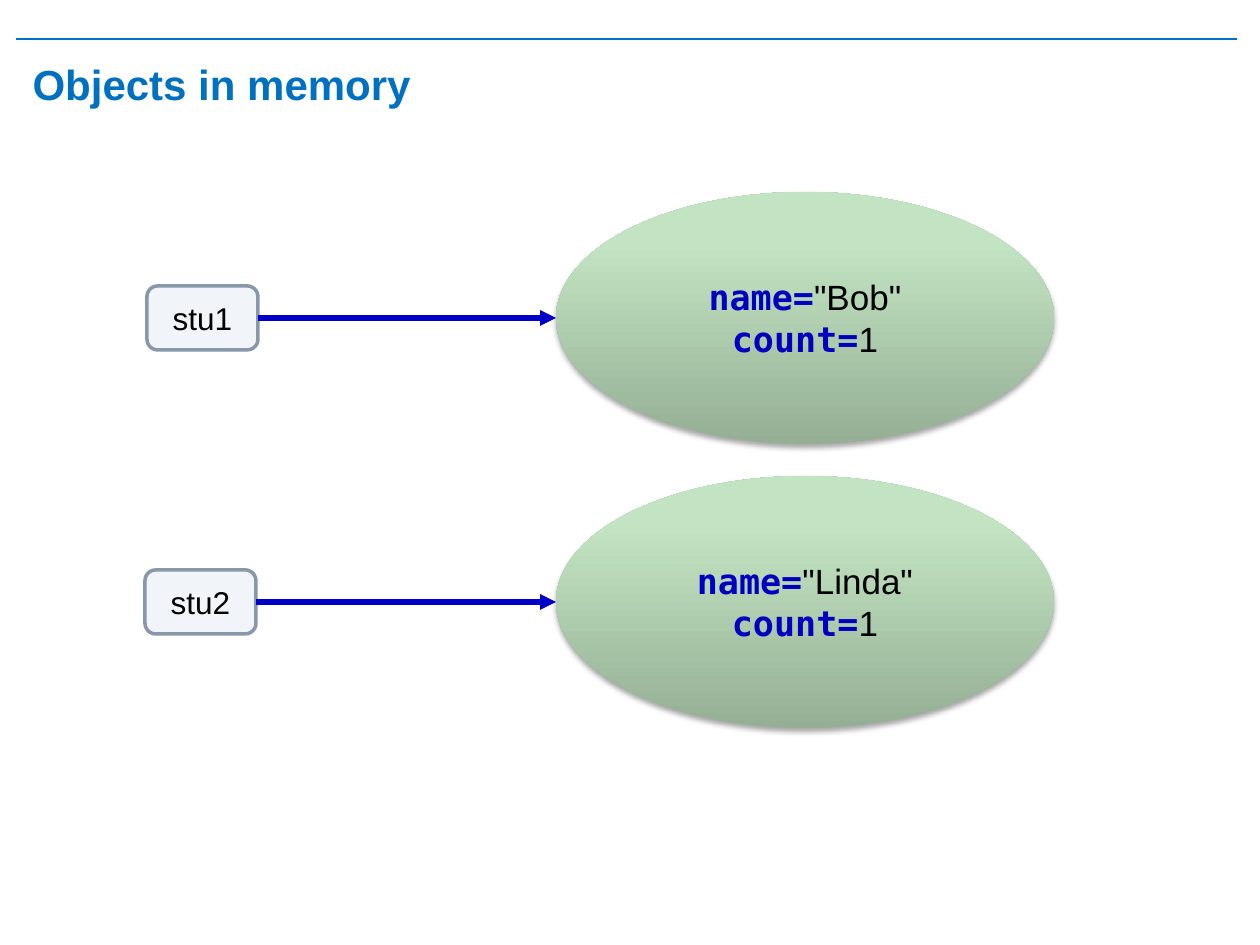
from dataclasses import dataclass
from typing import Any

import pptx
import pptx.dml.color
import pptx.enum.shapes
import pptx.enum.text
import pptx.oxml
import pptx.oxml.ns
import pptx.util

PX = 914400 / 126
SANS, MONO = "Arial", "DejaVu Sans Mono"
BLACK, FIELD_BLUE = "000000", "0000C0"
ROW_STEP = 284
BOX_TOP, BOX_WIDTH, BOX_HEIGHT = 286, 111, 64
OVAL_LEFT, OVAL_TOP, OVAL_WIDTH, OVAL_HEIGHT = 556, 192, 498, 252
GRADIENT = ((0, "95AF95"), (80, "C2E4C2"), (100, "C2E5C2"))
SHAPES = pptx.enum.shapes.MSO_SHAPE
ALIGN = pptx.enum.text.PP_ALIGN
MIDDLE = pptx.enum.text.MSO_ANCHOR.MIDDLE


@dataclass
class Student:
    variable: str
    fields: dict[str, str]
    box_left: int


STUDENTS = [
    Student("stu1", {"name=": '"Bob"', "count=": "1"}, 147),
    Student("stu2", {"name=": '"Linda"', "count=": "1"}, 145),
]


def px(length: int) -> int:
    return round(length * PX)


def color(value: str) -> pptx.dml.color.RGBColor:
    return pptx.dml.color.RGBColor.from_string(value)


def drawing_xml(content: str) -> Any:
    """Parse one DrawingML element, declaring its namespace."""
    tag, rest = content.split(" ", 1)
    return pptx.oxml.parse_xml(f"{tag} {pptx.oxml.ns.nsdecls('a')} {rest}")


def add_span(para: Any, text: str, font: dict[str, Any], fill: str) -> None:
    span = para.add_run()
    span.text = text
    for name, value in font.items():
        setattr(span.font, name, value)
    span.font.color.rgb = color(fill)


def add_shape(page: Any, kind: Any, left: int, top: int, width: int, height: int) -> Any:
    shape = page.shapes.add_shape(kind, px(left), px(top), px(width), px(height))
    shape.shadow.inherit = False
    shape.text_frame.word_wrap = True
    shape.text_frame.vertical_anchor = MIDDLE
    shape.text_frame.paragraphs[0].alignment = ALIGN.CENTER
    return shape


def add_line(page: Any, start: tuple[int, int], end: tuple[int, int],
             fill: str, width: float) -> Any:
    line = page.shapes.add_connector(
        pptx.enum.shapes.MSO_CONNECTOR.STRAIGHT, *map(px, start + end))
    line.line.color.rgb = color(fill)
    line.line.width = pptx.util.Pt(width)
    line._element.spPr.append(drawing_xml("<a:effectLst />"))
    return line


def add_title(page: Any, text: str) -> None:
    title = page.shapes.title
    place = {"left": 20, "top": 49, "width": 1211, "height": 69}
    for name, value in place.items():
        setattr(title, name, px(value))
    title.text_frame.vertical_anchor = MIDDLE
    para = title.text_frame.paragraphs[0]
    para.alignment = ALIGN.LEFT
    para.space_before = pptx.util.Pt(5)
    add_span(para, text, {"name": SANS, "size": pptx.util.Pt(24), "bold": True}, "0070C0")


def add_variable(page: Any, student: Student, top: int) -> Any:
    box = add_shape(page, SHAPES.ROUNDED_RECTANGLE, student.box_left, top,
                    BOX_WIDTH, BOX_HEIGHT)
    box.fill.solid()
    box.fill.fore_color.rgb = color("F1F5FA")
    box.line.color.rgb = color("8897A9")
    box.line.width = pptx.util.Pt(2)
    add_span(box.text_frame.paragraphs[0], student.variable,
             {"name": SANS, "size": pptx.util.Pt(18)}, BLACK)
    return box


def style_oval(oval: Any) -> None:
    """Give the oval its upward gradient and soft shadow, without an outline."""
    oval.line.fill.background()
    stops = "".join(
        f'<a:gs pos="{position * 1000}"><a:srgbClr val="{value}"/></a:gs>'
        for position, value in GRADIENT)
    properties = oval._element.spPr
    properties.find(pptx.oxml.ns.qn("a:prstGeom")).addnext(drawing_xml(
        f'<a:gradFill rotWithShape="1"><a:gsLst>{stops}</a:gsLst>'
        '<a:lin ang="16200000" scaled="0"/></a:gradFill>'))
    properties.find(pptx.oxml.ns.qn("a:effectLst")).append(drawing_xml(
        '<a:outerShdw blurRad="40000" dist="23000" dir="5400000" rotWithShape="0">'
        '<a:srgbClr val="000000"><a:alpha val="35000"/></a:srgbClr></a:outerShdw>'))


def add_object(page: Any, student: Student, top: int) -> None:
    oval = add_shape(page, SHAPES.OVAL, OVAL_LEFT, top, OVAL_WIDTH, OVAL_HEIGHT)
    style_oval(oval)
    para = oval.text_frame.paragraphs[0]
    size = pptx.util.Pt(20)
    for index, (field, value) in enumerate(student.fields.items()):
        if index:
            para.add_line_break()
        add_span(para, field, {"name": MONO, "size": size, "bold": True}, FIELD_BLUE)
        add_span(para, value, {"name": SANS, "size": size, "bold": False}, BLACK)


def add_reference(page: Any, box: Any, student: Student, middle: int) -> None:
    arrow = add_line(page, (student.box_left + BOX_WIDTH, middle),
                     (OVAL_LEFT, middle), "0000C8", 3)
    arrow.begin_connect(box, 3)
    arrow.line._get_or_add_ln().append(drawing_xml('<a:tailEnd type="triangle"/>'))


def main() -> None:
    deck = pptx.Presentation()
    deck.slide_width, deck.slide_height = pptx.util.Inches(10), pptx.util.Inches(7.5)
    page = deck.slides.add_slide(deck.slide_layouts.get_by_name("Title Only"))
    add_line(page, (16, 39), (1237, 39), "0070C0", 0.75)
    add_title(page, "Objects in memory")
    for row, student in enumerate(STUDENTS):
        offset = row * ROW_STEP
        box = add_variable(page, student, BOX_TOP + offset)
        add_object(page, student, OVAL_TOP + offset)
        add_reference(page, box, student, BOX_TOP + BOX_HEIGHT // 2 + offset)
    deck.save("out.pptx")


if __name__ == "__main__":
    main()
